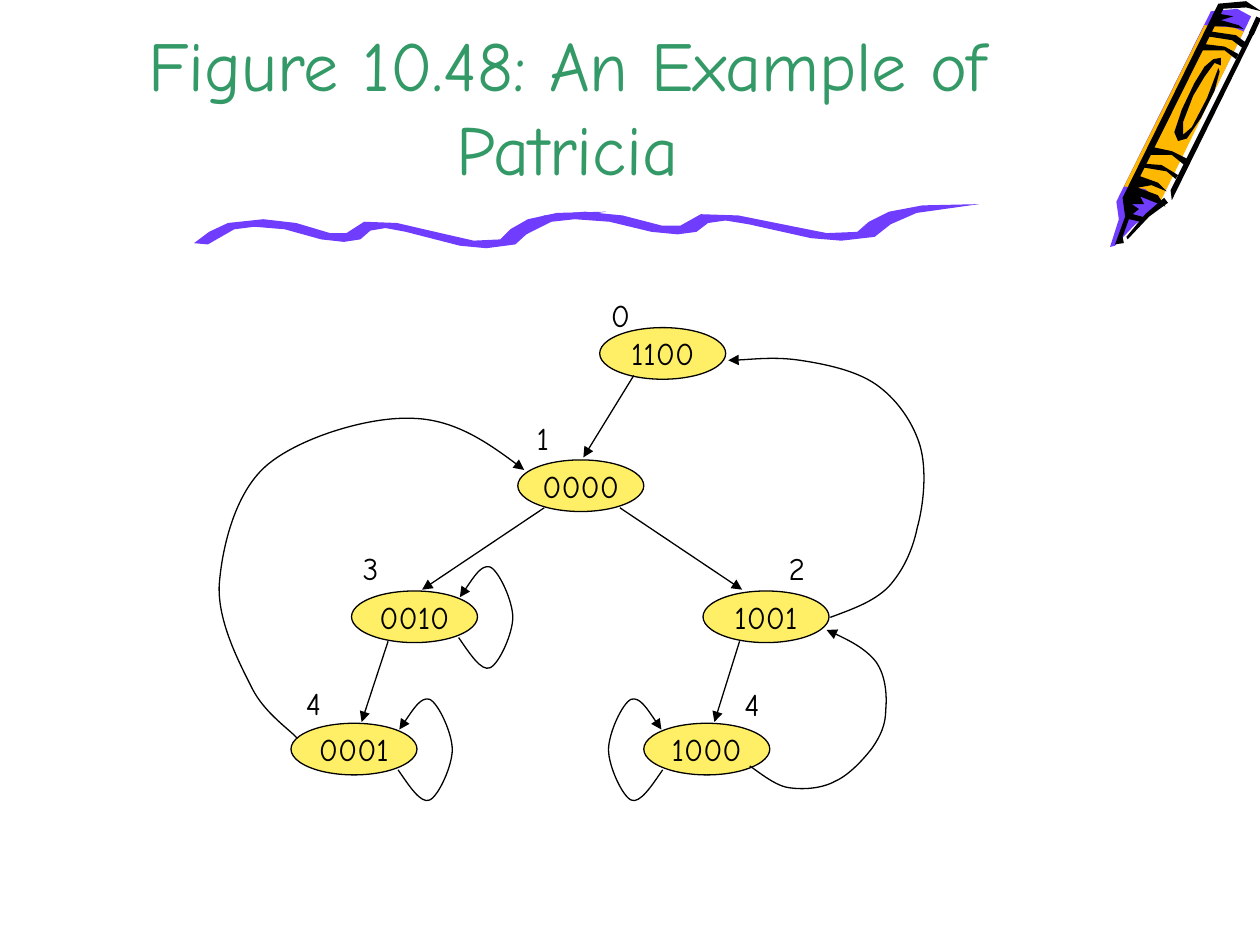
from lxml.etree import SubElement
from pptx import Presentation
from pptx.dml.color import RGBColor
from pptx.enum.shapes import MSO_CONNECTOR, MSO_SHAPE
from pptx.enum.text import MSO_ANCHOR, PP_ALIGN
from pptx.oxml.ns import qn
from pptx.util import Inches, Pt

FONT = "Comic Neue"
BLACK, PURPLE, ORANGE = "000000", "703DFF", "FFB800"
YELLOW, GREEN = "FFEF66", "339966"
WIDE, HIGH = 1, 0.41

CRAYON = [
    (PURPLE, [(9.93, 0.13), (9.17, 1.66), (9.01, 1.78), (8.85, 1.95), (8.81, 1.96),
              (8.88, 1.74), (8.86, 1.6), (9.61, 0.09), (9.82, 0.07)]),
    (ORANGE, [(9.21, 1.6), (9.09, 1.5), (8.92, 1.48), (9.56, 0.2), (9.79, 0.22),
              (9.87, 0.25)]),
    (BLACK, [(9.27, 1.61), (9.12, 1.72), (8.95, 1.9), (8.94, 1.88), (9.09, 1.7),
             (9.24, 1.57)]),
    (BLACK, [(9.87, 0.23), (9.73, 0.21), (9.61, 0.21), (9.68, 0.11), (9.79, 0.13),
             (9.69, 0.16), (9.83, 0.2)]),
    (BLACK, [(9.68, 0.57), (9.64, 0.72), (9.53, 0.94), (9.42, 1.1), (9.35, 1.12),
             (9.32, 1.05), (9.38, 0.87), (9.48, 0.66), (9.56, 0.53), (9.63, 0.47),
             (9.69, 0.46), (9.69, 0.52), (9.64, 0.5), (9.56, 0.61), (9.47, 0.76),
             (9.39, 0.97), (9.39, 1.07), (9.46, 1.01), (9.58, 0.78), (9.67, 0.54)]),
    (BLACK, [(9.97, 0.23), (9.3, 1.59), (9.29, 1.51), (9.93, 0.23)]),
    (BLACK, [(9.25, 1.64), (9.19, 1.55), (9.03, 1.49), (9.14, 1.47), (9.26, 1.52),
             (9.19, 1.45), (9.05, 1.4), (9.71, 0.07), (9.89, 0.06), (10.01, 0.09),
             (9.89, 0.01), (9.67, 0.03), (8.91, 1.57), (8.93, 1.72), (8.85, 1.94),
             (8.92, 1.93), (8.91, 1.88), (8.96, 1.74), (9.05, 1.76), (9.1, 1.73),
             (8.99, 1.7), (9.04, 1.66), (8.98, 1.62), (9.08, 1.62), (9.05, 1.56)]),
    (BLACK, [(9.33, 1.42), (9.26, 1.36), (9.08, 1.33), (9.09, 1.3), (9.22, 1.31),
             (9.35, 1.39)]),
    (BLACK, [(9.4, 1.31), (9.3, 1.23), (9.13, 1.23), (9.16, 1.17), (9.3, 1.2),
             (9.42, 1.26)]),
    (BLACK, [(9.81, 0.47), (9.72, 0.4), (9.53, 0.4), (9.56, 0.35), (9.72, 0.37),
             (9.83, 0.43)]),
    (BLACK, [(9.86, 0.38), (9.78, 0.32), (9.59, 0.29), (9.61, 0.25), (9.81, 0.28),
             (9.89, 0.34)]),
]
WAVE = [(0.11, 1.94), (0.32, 1.82), (0.48, 1.8), (0.72, 1.82), (1.01, 1.9), (1.19, 1.92),
        (1.32, 1.9), (1.4, 1.83), (1.52, 1.81), (1.68, 1.84), (2.11, 1.95), (2.32, 1.97),
        (2.55, 1.94), (2.66, 1.84), (2.84, 1.75), (3.27, 1.68), (2.88, 1.69),
        (2.65, 1.74), (2.51, 1.82), (2.43, 1.9), (2.22, 1.91), (2, 1.86), (1.61, 1.77),
        (1.35, 1.76), (1.21, 1.85), (1.08, 1.85), (0.81, 1.77), (0.55, 1.74),
        (0.27, 1.77), (0.12, 1.84), (0, 1.93)]

NODES = [("1100", 4.76, 2.6), ("0000", 4.11, 3.65), ("0010", 2.79, 4.69),
         ("0001", 2.31, 5.74), ("1001", 5.58, 4.69), ("1000", 5.11, 5.74)]
LABELS = [("0", 4.75, 2.3), ("1", 4.16, 3.28), ("3", 2.78, 4.31),
          ("4", 2.33, 5.38), ("2", 6.16, 4.31), ("4", 5.81, 5.39)]
EDGES = [((5.03, 2.98), (4.63, 3.63)), ((4.32, 4.03), (3.35, 4.68)),
         ((3.08, 5.09), (2.87, 5.73)), ((5.87, 5.09), (5.67, 5.73)),
         ((4.92, 4.03), (5.89, 4.68))]

LOOP = [(0.85, 0.37), (0.94, 0.5), (1.03, 0.64), (1.1, 0.61), (1.17, 0.58), (1.28, 0.34),
        (1.28, 0.21), (1.28, 0.08), (1.17, -0.16), (1.1, -0.19), (1.03, -0.21),
        (0.95, -0.08), (0.86, 0.05)]
LOOPS = [(2.31, 5.74, False), (2.79, 4.69, False), (5.11, 5.74, True)]
ARCS = [
    [(2.36, 5.86), (2.3, 5.79), (2.1, 5.66), (2, 5.46), (1.9, 5.26), (1.73, 4.94),
     (1.74, 4.65), (1.76, 4.36), (1.86, 3.92), (2.11, 3.7), (2.36, 3.48), (2.91, 3.31),
     (3.25, 3.32), (3.59, 3.32), (3.9, 3.53), (4.16, 3.73)],
    [(5.95, 6.08), (6, 6.11), (6.14, 6.23), (6.25, 6.25), (6.37, 6.27), (6.52, 6.26),
     (6.63, 6.2), (6.74, 6.15), (6.85, 6.03), (6.92, 5.94), (6.99, 5.84), (7.03, 5.75),
     (7.03, 5.63), (7.04, 5.52), (7.03, 5.36), (6.95, 5.25), (6.87, 5.15), (6.7, 5.06),
     (6.56, 5)],
    [(6.59, 4.9), (6.75, 4.84), (6.93, 4.78), (7.05, 4.66), (7.16, 4.54), (7.24, 4.38),
     (7.28, 4.19), (7.33, 4.01), (7.36, 3.73), (7.3, 3.53), (7.24, 3.34), (7.11, 3.16),
     (6.95, 3.05), (6.79, 2.94), (6.55, 2.89), (6.35, 2.86), (6.15, 2.83), (5.9, 2.86),
     (5.78, 2.86)],
]


def color(target, value):
    if hasattr(target, "solid"):
        target.solid()
        target = target.fore_color
    target.rgb = RGBColor.from_string(value)


def stroke(shape, width=0.75, arrow=False):
    color(shape.line.fill, BLACK)
    shape.line.width = Pt(width)
    if arrow:
        SubElement(shape.line._get_or_add_ln(), qn("a:tailEnd"), type="triangle")


def write(shape, text, size, value, align):
    part = shape.text_frame.paragraphs[0]
    part.text = text
    part.alignment = align
    part.font.size = Pt(size)
    part.font.name = FONT
    color(part.font.color, value)


def trace(shapes, points, close):
    spots = [(Inches(x), Inches(y)) for x, y in points]
    pen = shapes.build_freeform(*spots[0])
    pen.add_line_segments(spots[1:], close=close)
    shape = pen.convert_to_shape()
    shape.shadow.inherit = False
    return shape


def patch(shapes, points, value):
    shape = trace(shapes, points, True)
    color(shape.fill, value)
    shape.line.fill.background()


def curve(shapes, points):
    shape = trace(shapes, points, False)
    shape.fill.background()
    stroke(shape, arrow=True)
    steps = list(shape._element.iter(qn("a:lnTo")))
    for first, *others in zip(steps[::3], steps[1::3], steps[2::3]):
        first.tag = qn("a:cubicBezTo")
        for step in others:
            first.append(step[0])
            step.getparent().remove(step)


def line(shapes, start, end, width=0.75, arrow=True):
    ends = [Inches(n) for n in (*start, *end)]
    shape = shapes.add_connector(MSO_CONNECTOR.STRAIGHT, *ends)
    stroke(shape, width, arrow)
    SubElement(shape._element.spPr, qn("a:effectLst"))


def node(shapes, text, x, y):
    shape = shapes.add_shape(MSO_SHAPE.OVAL, Inches(x), Inches(y), Inches(WIDE), Inches(HIGH))
    shape.shadow.inherit = False
    color(shape.fill, YELLOW)
    stroke(shape)
    shape.text_frame.word_wrap = False
    shape.text_frame.vertical_anchor = MSO_ANCHOR.MIDDLE
    write(shape, text, 18, BLACK, PP_ALIGN.CENTER)


def label(shapes, text, x, y, width=0.48, height=0.4, size=18, value=BLACK,
          align=PP_ALIGN.LEFT, anchor=MSO_ANCHOR.TOP):
    box = shapes.add_textbox(Inches(x), Inches(y), Inches(width), Inches(height))
    box.text_frame.word_wrap = True
    box.text_frame.vertical_anchor = anchor
    write(box, text, size, value, align)


def main():
    deck = Presentation()
    deck.slide_width, deck.slide_height = Inches(10), Inches(7.5)
    shapes = deck.slides.add_slide(deck.slide_layouts[6]).shapes

    for value, points in CRAYON:
        patch(shapes, points, value)
    line(shapes, (9.99, 0.14), (9.93, 0.27), 3, False)
    for left, scale, lift in [(1.54, 1, 0), (4.01, 1.15, 0.06)]:
        patch(shapes, [(left + x * scale, y - lift) for x, y in WAVE], PURPLE)

    label(shapes, "Figure 10.48: An Example of Patricia", 0.75, 0, 7.51, 1.55, 40, GREEN,
          PP_ALIGN.CENTER, MSO_ANCHOR.BOTTOM)
    for item in NODES:
        node(shapes, *item)
    for start, end in EDGES:
        line(shapes, start, end)
    for left, top, flip in LOOPS:
        curve(shapes, [(left + (WIDE - x if flip else x), top + y) for x, y in LOOP])
    for points in ARCS:
        curve(shapes, points)
    for item in LABELS:
        label(shapes, *item)

    deck.save("out.pptx")


if __name__ == "__main__":
    main()
